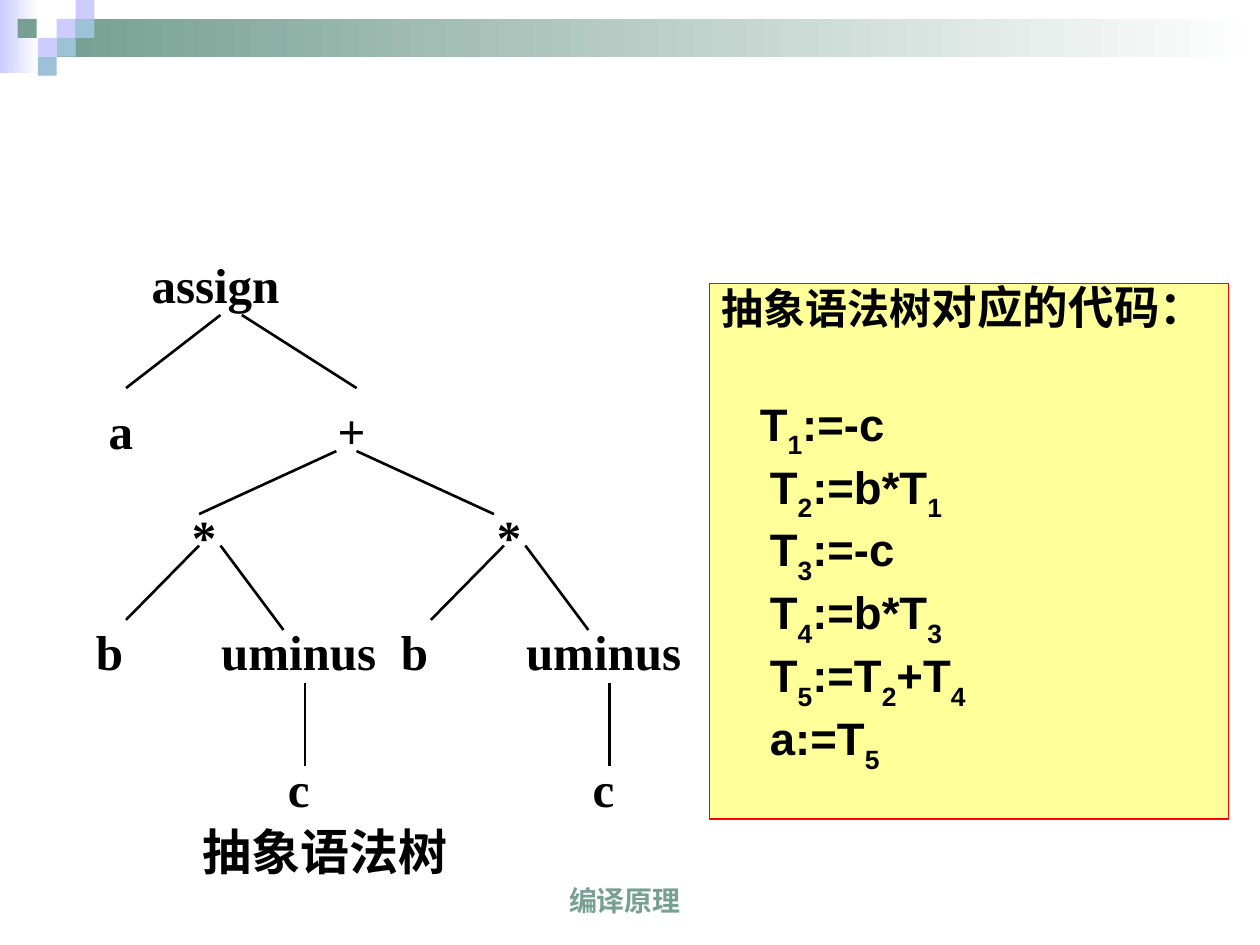
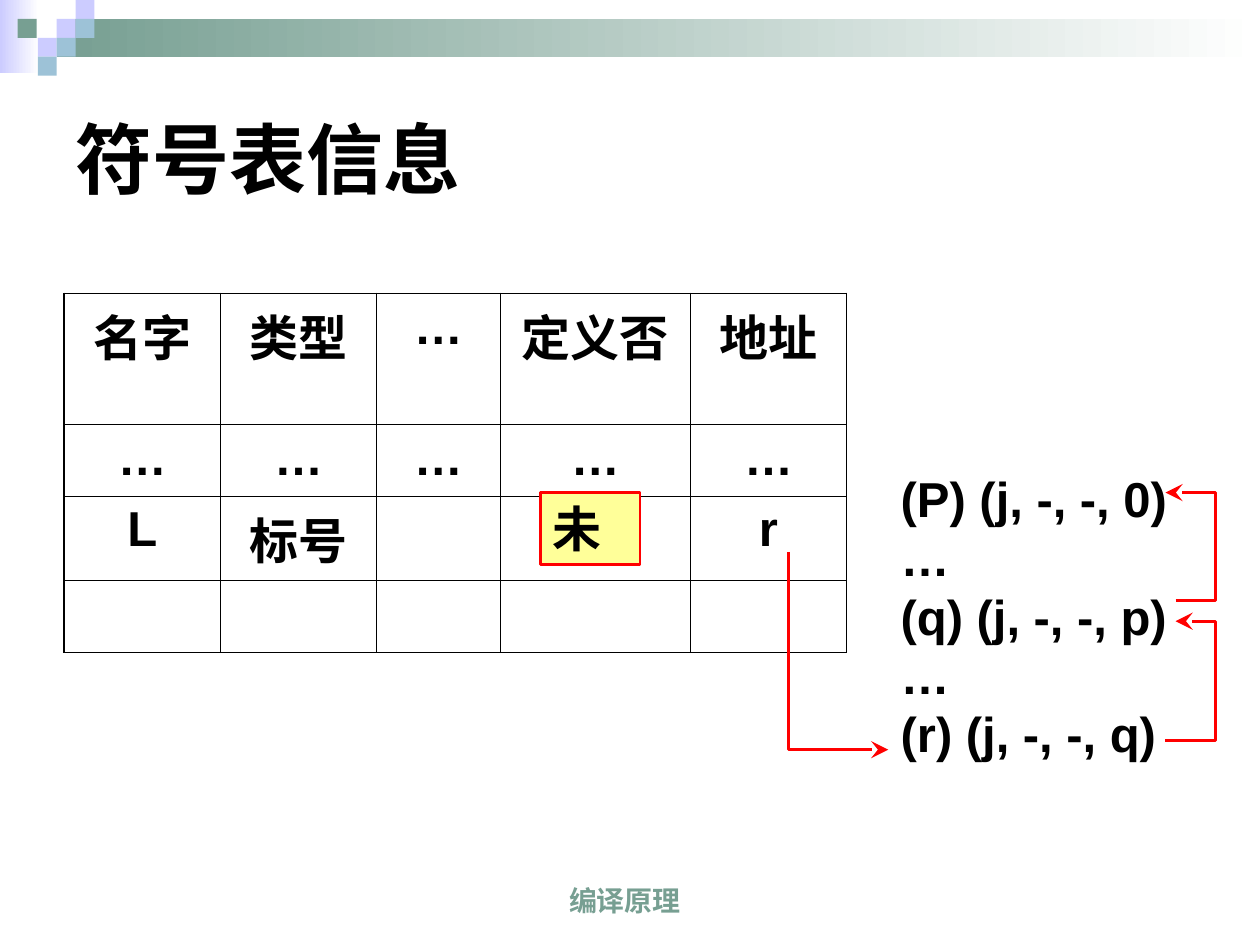
"""Build two compiler-course slides: syntax tree code and symbol table chaining."""
from dataclasses import dataclass

from lxml import etree
from pptx import Presentation
from pptx import util as u
from pptx.dml import color
from pptx.enum import shapes, text
from pptx.oxml import ns

BLACK = color.RGBColor(0x00, 0x00, 0x00)
WHITE = color.RGBColor(0xFF, 0xFF, 0xFF)
RED = color.RGBColor(0xFF, 0x00, 0x00)
YELLOW = color.RGBColor(0xFF, 0xFF, 0x99)
GREEN = color.RGBColor(0x77, 0x9F, 0x92)
LILAC = color.RGBColor(0xCC, 0xCC, 0xFF)
BLUE = color.RGBColor(0x9D, 0xC2, 0xD7)

SANS, SERIF = "Arial", "Times New Roman"
LEFT, CENTER = text.PP_ALIGN.LEFT, text.PP_ALIGN.CENTER
TOP, MIDDLE, BOTTOM = text.MSO_ANCHOR.TOP, text.MSO_ANCHOR.MIDDLE, text.MSO_ANCHOR.BOTTOM


@dataclass(frozen=True)
class Block:
    left: float
    top: float
    width: float
    height: float
    fill: color.RGBColor
    fades: bool = False


@dataclass(frozen=True)
class Node:
    label: str
    left: float
    top: float
    width: float = 1.08


@dataclass(frozen=True)
class Branch:
    x1: float
    y1: float
    x2: float
    y2: float


@dataclass(frozen=True)
class CodeLine:
    pieces: tuple
    margin: float = 0.38
    before: float = 6.5


SQUARE = 0.15
BANDS = [Block(0, 0, 0.31, 0.58, LILAC, True), Block(0.45, 0.15, 9.55, 0.3, GREEN, True)]
BANDS += [Block(x, y, SQUARE, SQUARE, tint) for x, y, tint in (
    (0.45, 0.15, LILAC), (0.6, 0, LILAC), (0.6, 0.15, BLUE), (0.3, 0.3, LILAC),
    (0.14, 0.15, GREEN), (0.45, 0.3, BLUE), (0.3, 0.45, BLUE))]

SUBTREE_SHIFT = 2.42
ROOT_NODES = [Node("assign", 1.07, 1.92, 1.28), Node("a", 0.42, 3.08), Node("+", 2.25, 3.08),
              Node("抽象语法树", 1.48, 6.42, 2.2)]
ROOT_BRANCHES = [Branch(1.75, 2.5, 1, 3.08), Branch(1.92, 2.5, 2.83, 3.08),
                 Branch(2.67, 3.58, 1.58, 4.08), Branch(2.83, 3.58, 3.92, 4.08)]
PRODUCT_NODES = [Node("*", 1.08, 3.92), Node("b", 0.33, 4.83),
                 Node("uminus", 1.67, 4.83, 1.4), Node("c", 1.83, 5.92)]
PRODUCT_BRANCHES = [Branch(1.58, 4.33, 1, 4.92), Branch(1.75, 4.33, 2.25, 5),
                    Branch(2.42, 5.42, 2.42, 6.08)]

CODE = [CodeLine(("T", "1", ":=-c"), 0.3, 38), CodeLine(("T", "2", ":=b*T", "1")),
        CodeLine(("T", "3", ":=-c")), CodeLine(("T", "4", ":=b*T", "3")),
        CodeLine(("T", "5", ":=T", "2", "+T", "4")), CodeLine(("a:=T", "5"))]

SYMBOL_COLUMNS = [1.24, 1.24, 0.98, 1.51, 1.24]
SYMBOL_ROWS = [1.04, 0.57, 0.67, 0.57]
SYMBOLS = [["名字", "类型", "…", "定义否", "地址"], ["…"] * 5,
           ["L", "标号", "", "", "r"], [""] * 5]
QUADRUPLES = ["(P) (j, -, -, 0)", "…", "(q) (j, -, -, p)", "…", "(r) (j, -, -, q)"]
CHAIN = [[(6.26, 4.38), (6.26, 5.95), (7.05, 5.95)],
         [(9.25, 5.88), (9.65, 5.88), (9.65, 4.93), (9.33, 4.93)],
         [(9.33, 4.77), (9.65, 4.77), (9.65, 3.91), (9.25, 3.91)]]


def place(left: float, top: float, width: float, height: float) -> tuple:
    return tuple(u.Inches(value) for value in (left, top, width, height))


def move(placeholder, *box: float) -> None:
    placeholder.left, placeholder.top, placeholder.width, placeholder.height = place(*box)


def write(paragraph, words: str, size: float, face: str = SANS,
          ink: color.RGBColor = BLACK, subscript: bool = False) -> None:
    run = paragraph.add_run()
    run.text = words
    run.font.size, run.font.name, run.font.bold = u.Pt(size), face, True
    run.font.color.rgb = ink
    if subscript:
        run.font._element.set("baseline", "-30000")


def add_label(slide, box: tuple, lines: list, size: float, face: str = SANS,
              ink: color.RGBColor = BLACK, align=CENTER, anchor=MIDDLE, inset: float = 0.1) -> None:
    frame = slide.shapes.add_textbox(*place(*box)).text_frame
    frame.word_wrap, frame.vertical_anchor = True, anchor
    frame.margin_left = frame.margin_right = u.Inches(inset)
    for index, words in enumerate(lines):
        paragraph = frame.add_paragraph() if index else frame.paragraphs[0]
        paragraph.alignment = align
        write(paragraph, words, size, face, ink)


def add_block(slide, block: Block) -> None:
    shape = slide.shapes.add_shape(shapes.MSO_SHAPE.RECTANGLE,
                                   *place(block.left, block.top, block.width, block.height))
    shape.shadow.inherit = False
    shape.line.fill.background()
    if block.fades:
        shape.fill.gradient()
        shape.fill.gradient_angle = 0
        for stop, tint in zip(shape.fill.gradient_stops, (block.fill, WHITE)):
            stop.color.rgb = tint
    else:
        shape.fill.solid()
        shape.fill.fore_color.rgb = block.fill


def highlight(shape, width: float) -> None:
    shape.fill.solid()
    shape.fill.fore_color.rgb = YELLOW
    shape.line.color.rgb, shape.line.width = RED, u.Pt(width)


def start_slide(deck, layout: int):
    slide = deck.slides.add_slide(deck.slide_layouts[layout])
    for block in BANDS:
        add_block(slide, block)
    add_label(slide, (3.19, 6.83, 3.54, 0.5), ["编译原理"], 16, ink=GREEN, anchor=BOTTOM)
    return slide


def add_node(slide, node: Node, shift: float = 0) -> None:
    add_label(slide, (node.left + shift, node.top, node.width, 0.67),
              [node.label], 28, SERIF, inset=0)


def add_branch(slide, branch: Branch, shift: float = 0) -> None:
    ends = place(branch.x1 + shift, branch.y1, branch.x2 + shift, branch.y2)
    line = slide.shapes.add_connector(shapes.MSO_CONNECTOR.STRAIGHT, *ends)
    line.line.color.rgb, line.line.width = BLACK, u.Pt(1.5)
    etree.SubElement(line._element.spPr, ns.qn("a:effectLst"))


def format_code(paragraph, margin: float, before: float) -> None:
    paragraph.alignment = text.PP_ALIGN.JUSTIFY
    paragraph.line_spacing, paragraph.space_before = 0.8, u.Pt(before)
    properties = paragraph._p.get_or_add_pPr()
    properties.set("marL", str(u.Inches(margin)))
    properties.set("indent", "0")
    etree.SubElement(properties, ns.qn("a:buNone"))


def add_code(slide) -> None:
    code = slide.placeholders[1]
    move(code, 5.63, 2.25, 4.12, 4.25)
    highlight(code, 0.75)
    frame = code.text_frame
    frame.auto_size, frame.vertical_anchor = text.MSO_AUTO_SIZE.NONE, TOP
    heading = frame.paragraphs[0]
    format_code(heading, 0, 6.5)
    write(heading, "抽象语法树", 24)
    write(heading, "对应的代码：", 26)
    for line in CODE:
        paragraph = frame.add_paragraph()
        format_code(paragraph, line.margin, line.before)
        for index, piece in enumerate(line.pieces):
            write(paragraph, piece, 26, subscript=index % 2 == 1)


def add_border(cell, side: str, width: float) -> None:
    edge = etree.SubElement(cell._tc.get_or_add_tcPr(), ns.qn(f"a:ln{side}"), w=str(u.Pt(width)))
    paint = etree.SubElement(edge, ns.qn("a:solidFill"))
    etree.SubElement(paint, ns.qn("a:srgbClr"), val=str(BLACK))


def add_symbol_table(slide) -> None:
    box = place(0.51, 2.33, sum(SYMBOL_COLUMNS), sum(SYMBOL_ROWS))
    table = slide.shapes.add_table(len(SYMBOL_ROWS), len(SYMBOL_COLUMNS), *box).table
    table.first_row = table.horz_banding = False
    for column, width in zip(table.columns, SYMBOL_COLUMNS):
        column.width = u.Inches(width)
    last_row, last_column = len(SYMBOL_ROWS) - 1, len(SYMBOL_COLUMNS) - 1
    for r, (entries, height) in enumerate(zip(SYMBOLS, SYMBOL_ROWS)):
        table.rows[r].height = u.Inches(height)
        for c, entry in enumerate(entries):
            cell = table.cell(r, c)
            outer = {"L": c == 0, "R": c == last_column, "T": r == 0, "B": r == last_row}
            for side, is_outer in outer.items():
                add_border(cell, side, 1.08 if is_outer else 0.45)
            cell.fill.background()
            if entry:
                paragraph = cell.text_frame.paragraphs[0]
                paragraph.alignment, paragraph.space_before = CENTER, u.Pt(7)
                write(paragraph, entry, 28)


def add_chain_arrow(slide, points: list) -> None:
    start, *rest = [(u.Inches(x), u.Inches(y)) for x, y in points]
    builder = slide.shapes.build_freeform(*start)
    builder.add_line_segments(rest, close=False)
    arrow = builder.convert_to_shape()
    arrow.shadow.inherit = False
    arrow.fill.background()
    arrow.line.color.rgb, arrow.line.width = RED, u.Pt(1.75)
    etree.SubElement(arrow.line._get_or_add_ln(), ns.qn("a:tailEnd"),
                     type="stealth", w="lg", len="lg")


def add_undefined_mark(slide) -> None:
    mark = slide.shapes.add_shape(shapes.MSO_SHAPE.RECTANGLE, *place(4.29, 3.91, 0.79, 0.57))
    mark.shadow.inherit = False
    highlight(mark, 1.5)
    mark.text_frame.vertical_anchor = TOP
    paragraph = mark.text_frame.paragraphs[0]
    paragraph.alignment = LEFT
    write(paragraph, "未", 28)


def build_tree_slide(deck) -> None:
    slide = start_slide(deck, 1)
    title = slide.shapes.title.element
    title.getparent().remove(title)
    add_code(slide)
    parts = [(ROOT_NODES, ROOT_BRANCHES, 0)]
    parts += [(PRODUCT_NODES, PRODUCT_BRANCHES, shift) for shift in (0, SUBTREE_SHIFT)]
    for nodes, branches, shift in parts:
        for node in nodes:
            add_node(slide, node, shift)
        for branch in branches:
            add_branch(slide, branch, shift)


def build_symbol_slide(deck) -> None:
    slide = start_slide(deck, 5)
    title = slide.shapes.title
    move(title, 0.5, 0.5, 9, 1.5)
    title.text_frame.vertical_anchor = MIDDLE
    heading = title.text_frame.paragraphs[0]
    heading.alignment = LEFT
    write(heading, "符号表信息", 44)
    add_symbol_table(slide)
    add_label(slide, (7.05, 3.67, 2.95, 2.9), QUADRUPLES, 28, align=LEFT, anchor=TOP)
    for points in CHAIN:
        add_chain_arrow(slide, points)
    add_undefined_mark(slide)


def main() -> None:
    deck = Presentation()
    deck.slide_width, deck.slide_height = u.Inches(10), u.Inches(7.5)
    build_tree_slide(deck)
    build_symbol_slide(deck)
    deck.save("out.pptx")


if __name__ == "__main__":
    main()
